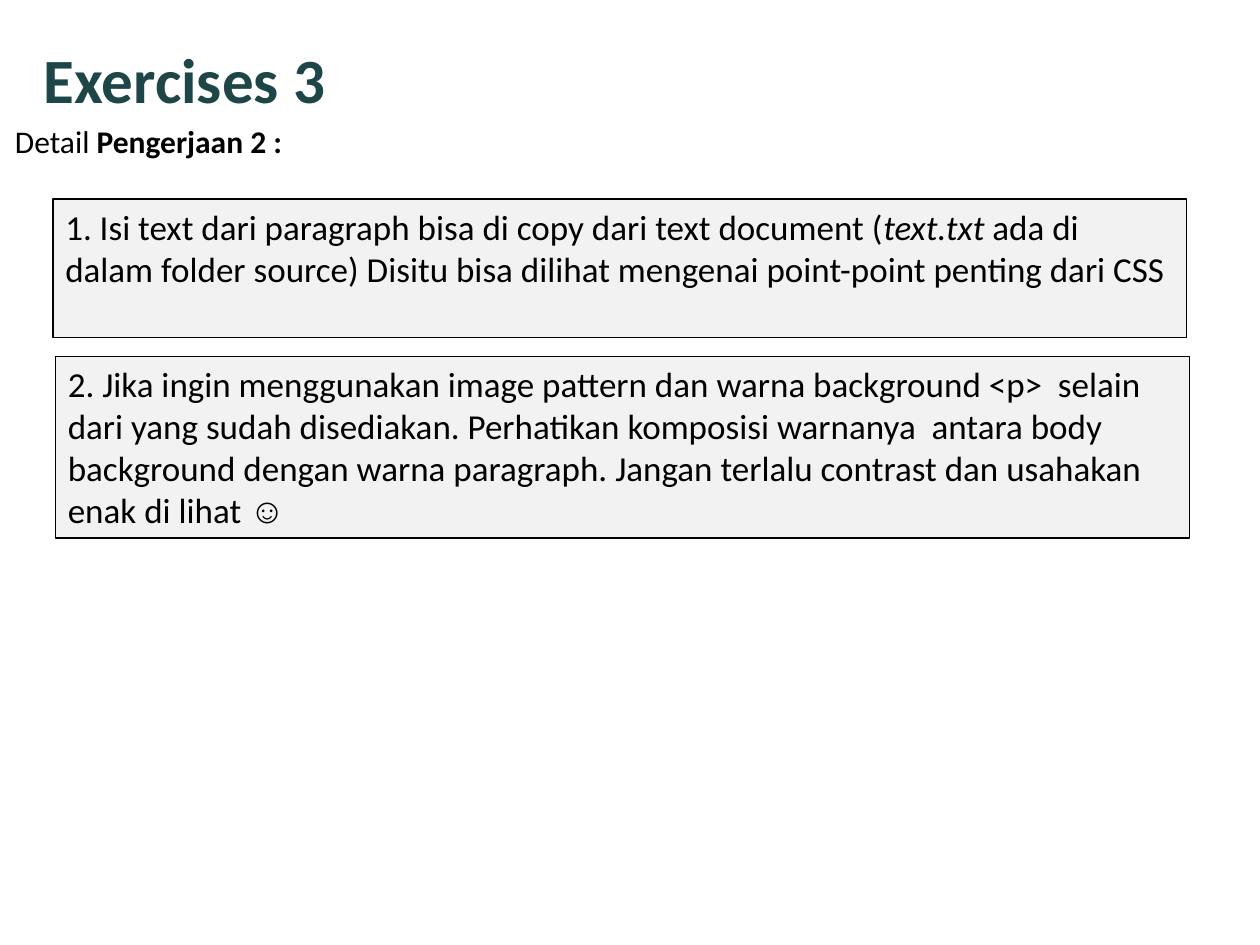
from dataclasses import dataclass, field

from pptx import Presentation
from pptx.dml.color import RGBColor
from pptx.enum.shapes import MSO_SHAPE
from pptx.enum.text import MSO_ANCHOR, PP_ALIGN
from pptx.util import Inches, Pt

COLORS = {"title": "1E4649", "text": "000000", "panel": "F2F2F2", "border": "000000"}


@dataclass
class Run:
    text: str
    formats: dict = field(default_factory=dict)


@dataclass
class TextBlock:
    left: float
    top: float
    width: float
    height: float
    size: int
    runs: list[Run]
    color: str = "text"
    framed: bool = False
    wrap: bool = True
    anchor: MSO_ANCHOR = MSO_ANCHOR.TOP


BLOCKS = [
    TextBlock(0.25, 0, 9, 1.25, 36, [Run("Exercises 3", {"bold": True})],
              color="title", anchor=MSO_ANCHOR.MIDDLE),
    TextBlock(0.02, 0.92, 2.72, 0.4, 18,
              [Run("Detail "), Run("Pengerjaan 2 :", {"bold": True})], wrap=False),
    TextBlock(0.42, 1.58, 9, 1.1, 20, [
        Run("1. Isi text dari paragraph bisa di copy dari text document ("),
        Run("text.txt", {"italic": True}),
        Run(" ada di dalam folder source) Disitu bisa dilihat mengenai "
            "point-point penting dari CSS"),
    ], framed=True),
    TextBlock(0.44, 2.83, 9, 1.44, 20, [
        Run("2. Jika ingin menggunakan image pattern dan warna background <p>  selain "
            "dari yang sudah disediakan. Perhatikan komposisi warnanya  antara body "
            "background dengan warna paragraph. Jangan terlalu contrast dan usahakan "
            "enak di lihat "),
        Run("☺", {"name": "Arial"}),
    ], framed=True),
]


def add_block(slide, block: TextBlock) -> None:
    bounds = [Inches(value) for value in (block.left, block.top, block.width, block.height)]
    if block.framed:
        shape = slide.shapes.add_shape(MSO_SHAPE.RECTANGLE, *bounds)
        shape.shadow.inherit = False
        shape.fill.solid()
        shape.fill.fore_color.rgb = RGBColor.from_string(COLORS["panel"])
        shape.line.color.rgb = RGBColor.from_string(COLORS["border"])
        shape.line.width = Pt(0.75)
    else:
        shape = slide.shapes.add_textbox(*bounds)
    frame = shape.text_frame
    frame.word_wrap = block.wrap
    frame.vertical_anchor = block.anchor
    paragraph = frame.paragraphs[0]
    paragraph.alignment = PP_ALIGN.LEFT
    for item in block.runs:
        run = paragraph.add_run()
        run.text = item.text
        formats = {"name": "Calibri", "size": Pt(block.size)} | item.formats
        for attribute, value in formats.items():
            setattr(run.font, attribute, value)
        run.font.color.rgb = RGBColor.from_string(COLORS[block.color])


def main() -> None:
    presentation = Presentation()
    presentation.slide_width = Inches(10)
    presentation.slide_height = Inches(7.5)
    slide = presentation.slides.add_slide(presentation.slide_layouts[6])
    for block in BLOCKS:
        add_block(slide, block)
    presentation.save("out.pptx")


if __name__ == "__main__":
    main()
